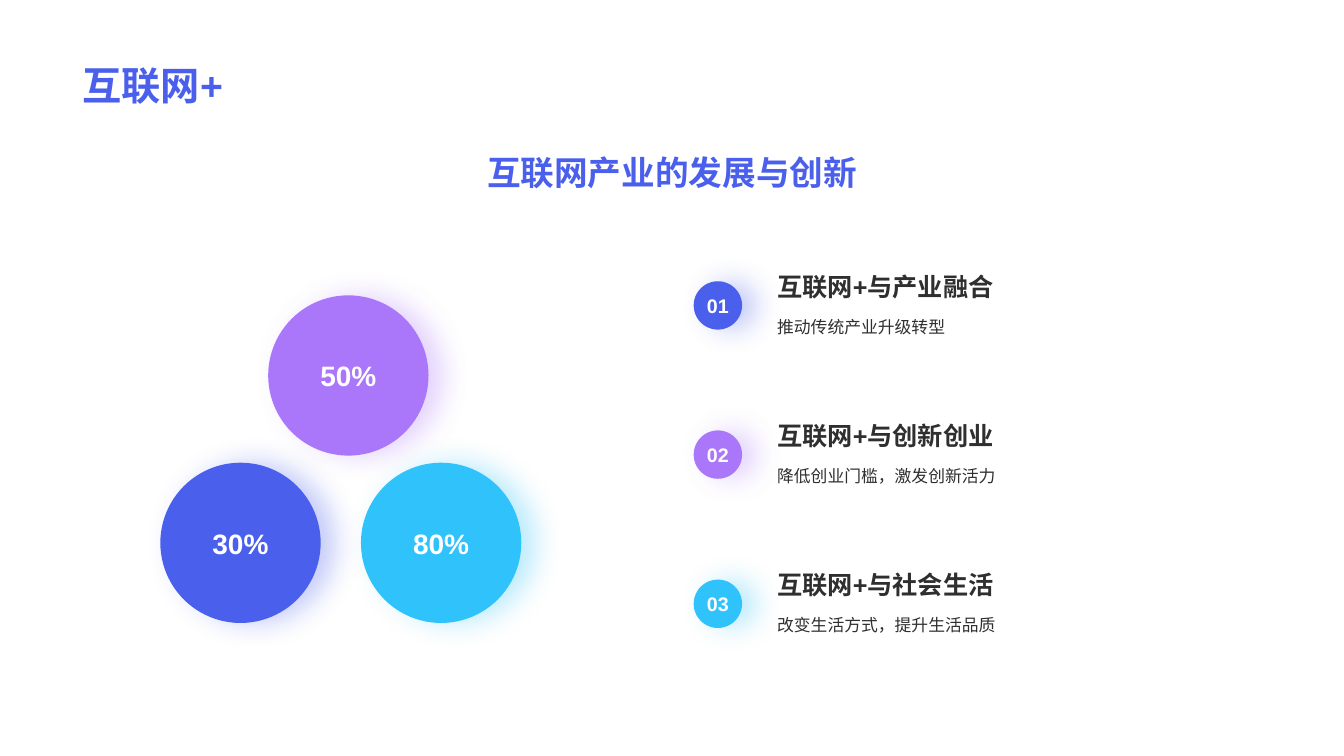
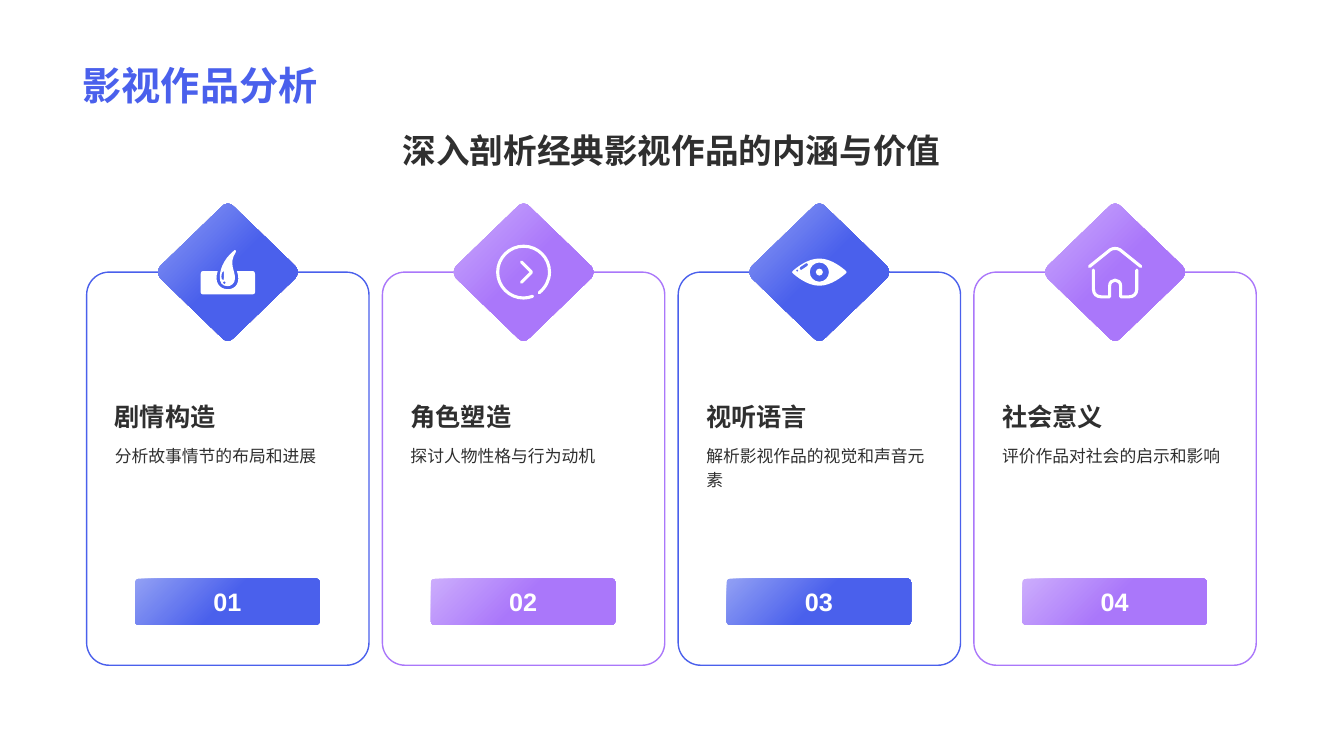
from pptx import Presentation
from pptx.dml.color import RGBColor
from pptx.enum.shapes import MSO_SHAPE
from pptx.enum.text import MSO_ANCHOR, MSO_AUTO_SIZE, PP_ALIGN
from pptx.oxml import parse_xml
from pptx.oxml.ns import nsdecls, qn
from pptx.util import Inches, Pt

OVAL, ROUND = MSO_SHAPE.OVAL, MSO_SHAPE.ROUNDED_RECTANGLE
LEFT, MID = PP_ALIGN.LEFT, PP_ALIGN.CENTER
TOP, CORE, BASE = MSO_ANCHOR.TOP, MSO_ANCHOR.MIDDLE, MSO_ANCHOR.BOTTOM
FIXED = MSO_AUTO_SIZE.NONE

BLUE = RGBColor(0x4A, 0x60, 0xEC)
PALE_BLUE = RGBColor(0x92, 0xA0, 0xF4)
PLUM = RGBColor(0xAA, 0x77, 0xFA)
PALE_PLUM = RGBColor(0xCC, 0xAD, 0xFC)
CYAN = RGBColor(0x30, 0xC2, 0xFA)
INK = RGBColor(0x2F, 0x2F, 0x2F)
WHITE = RGBColor(0xFF, 0xFF, 0xFF)

WIDE, HIGH = 13.33, 7.5
EDGE = 0.72
SPAN = 11.88
HEAD = (EDGE, 0.15, SPAN, 0.98)

STYLES = {
    "title": (28, True, BLUE, LEFT, BASE, 1),
    "lead": (24, True, BLUE, MID, BASE, 1),
    "theme": (24, True, INK, MID, TOP, 1),
    "label": (18, True, INK, LEFT, BASE, 1),
    "note": (12, False, INK, LEFT, TOP, 1.2),
    "share": (20, True, WHITE, MID, CORE, 1),
    "index": (14, True, WHITE, MID, CORE, 1),
    "step": (18, True, WHITE, MID, CORE, 1),
}

BALLS = [("30%", 1.59, 4.59, BLUE), ("50%", 2.66, 2.93, PLUM), ("80%", 3.58, 4.59, CYAN)]
POINTS = [
    ("互联网+与产业融合", "推动传统产业升级转型", BLUE),
    ("互联网+与创新创业", "降低创业门槛，激发创新活力", PLUM),
    ("互联网+与社会生活", "改变生活方式，提升生活品质", CYAN),
]
CARDS = [
    ("剧情构造", "分析故事情节的布局和进展"),
    ("角色塑造", "探讨人物性格与行为动机"),
    ("视听语言", "解析影视作品的视觉和声音元素"),
    ("社会意义", "评价作品对社会的启示和影响"),
]
TINTS = [(BLUE, PALE_BLUE), (PLUM, PALE_PLUM)]


def ring(r, x=0, y=0):
    """Give a circle as a start point and four cubic curves."""
    k = 0.55 * r
    return [(x + r, y),
            (x + r, y + k, x + k, y + r, x, y + r), (x - k, y + r, x - r, y + k, x - r, y),
            (x - r, y - k, x - k, y - r, x, y - r), (x + k, y - r, x + r, y - k, x + r, y)]


GEM = [[(6, -65), (67, -6), (70, -2, 70, 2, 67, 6), (6, 65), (3, 69, -3, 69, -6, 65),
        (-67, 6), (-70, 2, -70, -2, -67, -6), (-6, -65), (-3, -69, 3, -69, 6, -65)]]
DROP = [
    [(-25, -1), (-10, -1), (-14, 10, -8, 17, 0, 17), (8, 17, 13, 10, 9, -1), (25, -1),
     (26, -1, 27, 0, 27, 2), (27, 20), (27, 21, 26, 22, 25, 22), (-25, 22),
     (-26, 22, -27, 21, -27, 20), (-27, 2), (-27, 0, -26, -1, -25, -1)],
    [(7, -22), (8, -22, 8, -21, 8, -20), (0, -8, 8, -1, 7, 7), (7, 11, 3, 14, 0, 14),
     (-6, 14, -8, 10, -8, 5), (-8, 0, -6, -12, 7, -22)],
    [(-4, -1), (-6, -1, -7, 4, -6, 7), (-5, 9, -3, 8, -4, 6), (-5, 3, -3, 1, -4, -1)],
    ring(1.5, -3.5, 10.5),
]
ARROW = [
    [(9, 24), (6, 25, 3, 25.7, 0, 25.7), *ring(25.7)[2:],
     (25.7, 8, 22, 15, 15.5, 20.5)],
    [(-2, -10), (7, -1), (8, 0, 8, 0, 7, 1), (-2, 10)],
]
EYE = [
    [(0, -13.5), (12, -13.5, 23, -4, 26, -1.5), (27.5, 0, 27.5, 0, 26, 1.5),
     (23, 4, 12, 13.5, 0, 13.5), (-12, 13.5, -23, 4, -26, 1.5),
     (-27.5, 0, -27.5, 0, -26, -1.5), (-23, -4, -12, -13.5, 0, -13.5)],
    ring(9.5), ring(3.5), ring(1.3, -22, -1.5),
    [(-19, -5), (-13, -9), (-11, -9, -10, -7, -12, -6), (-18, -2), (-20, -2, -20, -4, -19, -5)],
]
HOUSE = [
    [(-25.5, -5.5), (-5, -22), (-2, -24, 2, -24, 5, -22), (25.5, -5.5)],
    [(-21.5, -2), (-21.5, 17), (-21.5, 22, -18, 24.5, -14, 24.5), (-5.5, 24.5), (-5.5, 14),
     (-5.5, 6, 5.5, 6, 5.5, 14), (5.5, 24.5), (14, 24.5),
     (18, 24.5, 21.5, 22, 21.5, 17), (21.5, -2)],
]
ICONS = [(DROP, True), (ARROW, False), (EYE, True), (HOUSE, False)]


def write(shape, text, style, wrap=True):
    """Set the text of a shape in a named style."""
    size, bold, tint, align, anchor, pitch = STYLES[style]
    frame = shape.text_frame
    para = frame.paragraphs[0]
    run = para.add_run()
    run.text = text
    run.font.color.rgb = tint
    formats = [
        (frame, {"word_wrap": wrap, "auto_size": FIXED, "vertical_anchor": anchor}),
        (para, {"alignment": align, "line_spacing": pitch}),
        (run.font, {"name": "Arial", "size": Pt(size), "bold": bold}),
    ]
    for target, values in formats:
        for name, value in values.items():
            setattr(target, name, value)


def label(slide, box, text, style):
    """Add a text box."""
    write(slide.shapes.add_textbox(*map(Inches, box)), text, style)


def paint(shape, fill=None, pale=None, line=None, width=1):
    """Set the fill, gradient and line of a shape without a shadow."""
    shape.shadow.inherit = False
    if pale is not None:
        shape.fill.gradient()
        shape.fill.gradient_angle = 315
        for stop, tint, place in zip(shape.fill.gradient_stops, (pale, fill), (0, 0.5)):
            stop.color.rgb = tint
            stop.position = place
    elif fill is not None:
        shape.fill.solid()
        shape.fill.fore_color.rgb = fill
    else:
        shape.fill.background()
    if line is None:
        shape.line.fill.background()
    else:
        shape.line.color.rgb = line
        shape.line.width = Pt(width)


def glow(shape, tint):
    """Give a shape a soft shadow of its own colour to the right."""
    shape.element.spPr.find(qn("a:effectLst")).append(parse_xml(
        f'<a:outerShdw {nsdecls("a")} blurRad="{Pt(20)}" dist="{Pt(10)}" dir="0" algn="l" '
        f'rotWithShape="0"><a:srgbClr val="{tint}"><a:alpha val="32000"/></a:srgbClr></a:outerShdw>'))


def ball(slide, box, text, style, tint):
    """Add a glowing circle with text."""
    shape = slide.shapes.add_shape(OVAL, *map(Inches, box))
    paint(shape, tint)
    glow(shape, tint)
    write(shape, text, style, wrap=style != "index")


def panel(slide, box, **look):
    """Add a rounded rectangle."""
    shape = slide.shapes.add_shape(ROUND, *map(Inches, box))
    shape.adjustments[0] = 0.08
    paint(shape, **look)
    return shape


def bend(shape, loops):
    """Join each curve's three line segments into one cubic segment."""
    lines = iter(list(shape.element.iter(qn("a:lnTo"))))
    for mark in (mark for loop in loops for mark in loop[1:]):
        first = next(lines)
        if len(mark) == 6:
            curve = parse_xml(f'<a:cubicBezTo {nsdecls("a")}/>')
            first.addprevious(curve)
            for part in (first, next(lines), next(lines)):
                curve.append(part[0])
                part.getparent().remove(part)


def draw(slide, x, y, loops, close=True, **look):
    """Add an outline, in hundredths of an inch about a centre."""
    build = None
    for loop in loops:
        dots = [(Inches(x + dx / 100), Inches(y + dy / 100))
                for mark in loop for dx, dy in zip(mark[::2], mark[1::2])]
        if build is None:
            build = slide.shapes.build_freeform(*dots[0])
        else:
            build.move_to(*dots[0])
        build.add_line_segments(dots[1:], close=close)
    shape = build.convert_to_shape()
    bend(shape, loops)
    paint(shape, **look)
    if not close:
        stroke = shape.element.spPr.find(qn("a:ln"))
        stroke.set("cap", "rnd")
        stroke.append(parse_xml(f'<a:round {nsdecls("a")}/>'))


def start(deck, text):
    """Add a slide with its title."""
    slide = deck.slides.add_slide(deck.slide_layouts[5])
    title = slide.shapes.title
    for name, value in zip(("left", "top", "width", "height"), HEAD):
        setattr(title, name, Inches(value))
    write(title, text, "title")
    return slide


def trends(deck):
    """Build the slide with three shares and three points."""
    slide = start(deck, "互联网+")
    label(slide, (1.43, 1.26, 10.47, 0.7), "互联网产业的发展与创新", "lead")
    for text, x, y, tint in BALLS:
        ball(slide, (x, y, 1.59, 1.59), text, "share", tint)
    for row, (name, note, tint) in enumerate(POINTS):
        y = 2.42 + 1.48 * row
        ball(slide, (6.88, y + 0.37, 0.48, 0.48), f"{row + 1:02}", "index", tint)
        label(slide, (7.61, y, 4.61, 0.62), name, "label")
        label(slide, (7.61, y + 0.63, 4.61, 0.62), note, "note")


def films(deck):
    """Build the slide with four cards."""
    slide = start(deck, "影视作品分析")
    label(slide, (EDGE, 1.24, SPAN, 0.5), "深入剖析经典影视作品的内涵与价值", "theme")
    left, right, top, width = 0.86, 12.46, 2.7, 2.8
    pitch = (right - left - width) / (len(CARDS) - 1)
    for col, ((name, note), (loops, solid)) in enumerate(zip(CARDS, ICONS)):
        x = left + pitch * col
        mid = x + width / 2
        tint, pale = TINTS[col % 2]
        panel(slide, (x, top, width, 3.9), line=tint)
        draw(slide, mid, top, GEM, fill=tint, pale=pale)
        look = {"fill": WHITE} if solid else {"line": WHITE, "width": 2.2}
        draw(slide, mid, top, loops, solid, **look)
        label(slide, (x + 0.18, 4.33, 2.43, 1.15), note, "note")
        label(slide, (x + 0.18, 3.61, 2.43, 0.72), name, "label")
        bar = panel(slide, (mid - 0.92, 5.74, 1.83, 0.46), fill=tint, pale=pale)
        write(bar, f"{col + 1:02}", "step")


def main():
    """Build and save the deck."""
    deck = Presentation()
    deck.slide_width, deck.slide_height = Inches(WIDE), Inches(HIGH)
    trends(deck)
    films(deck)
    deck.save("out.pptx")


if __name__ == "__main__":
    main()
